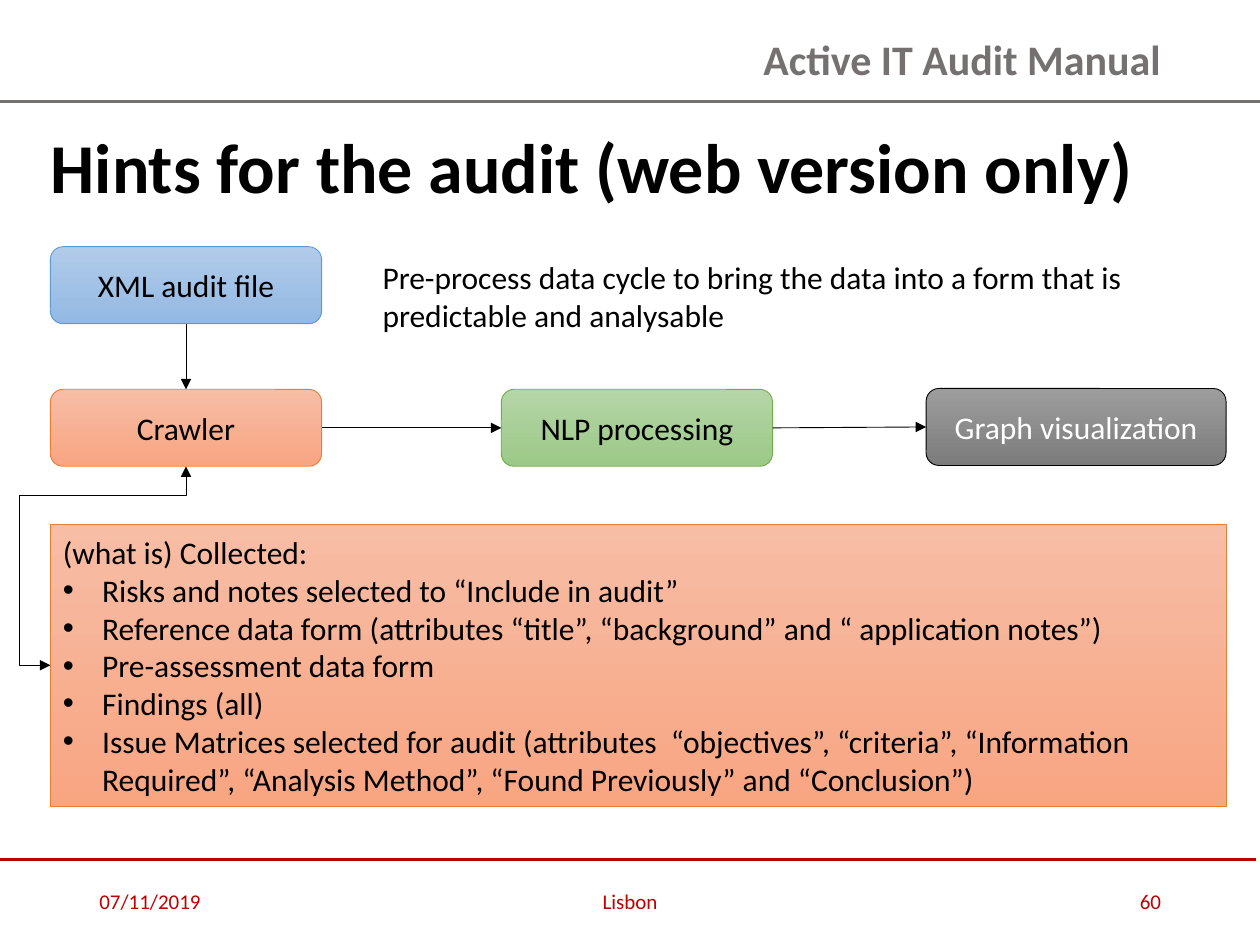
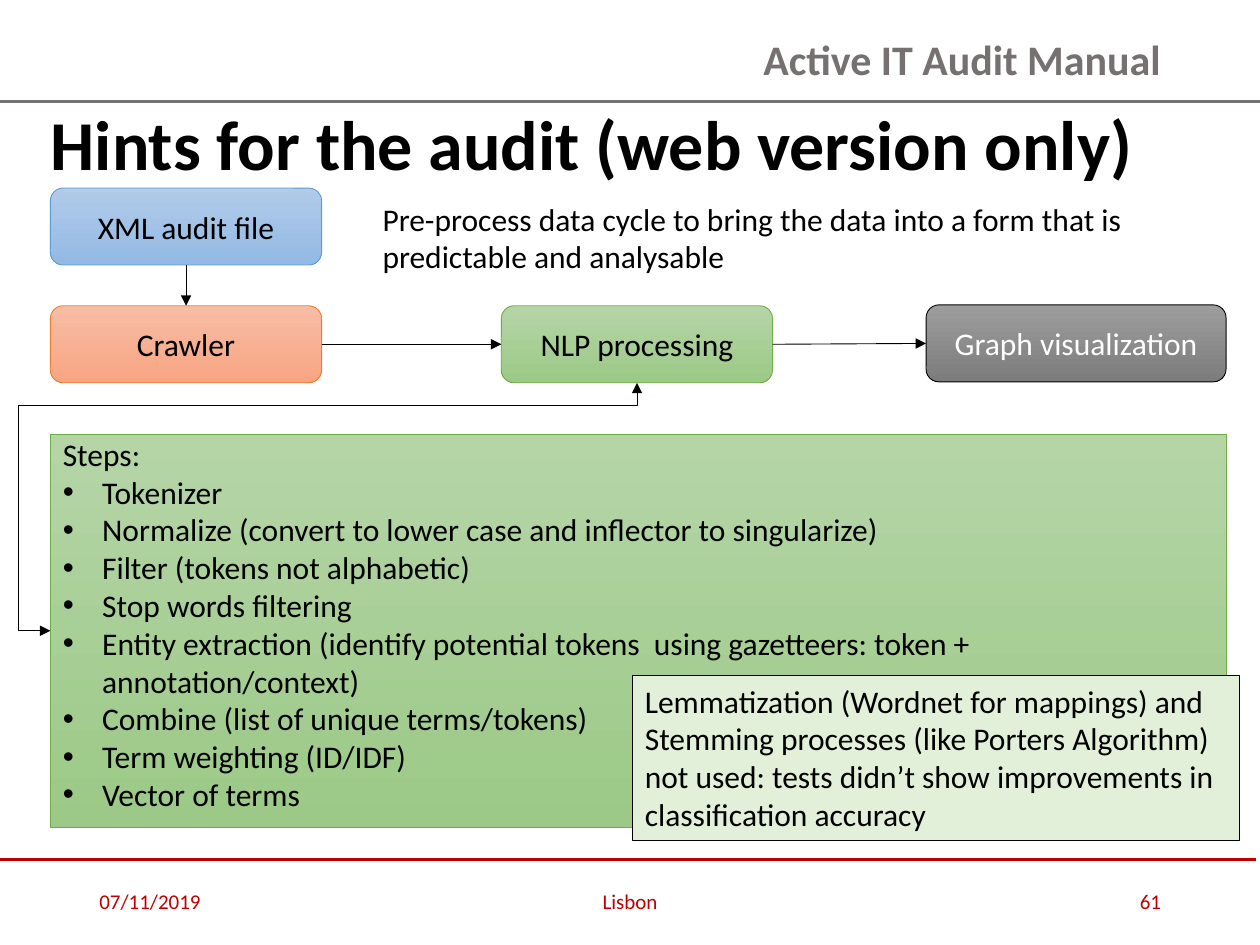
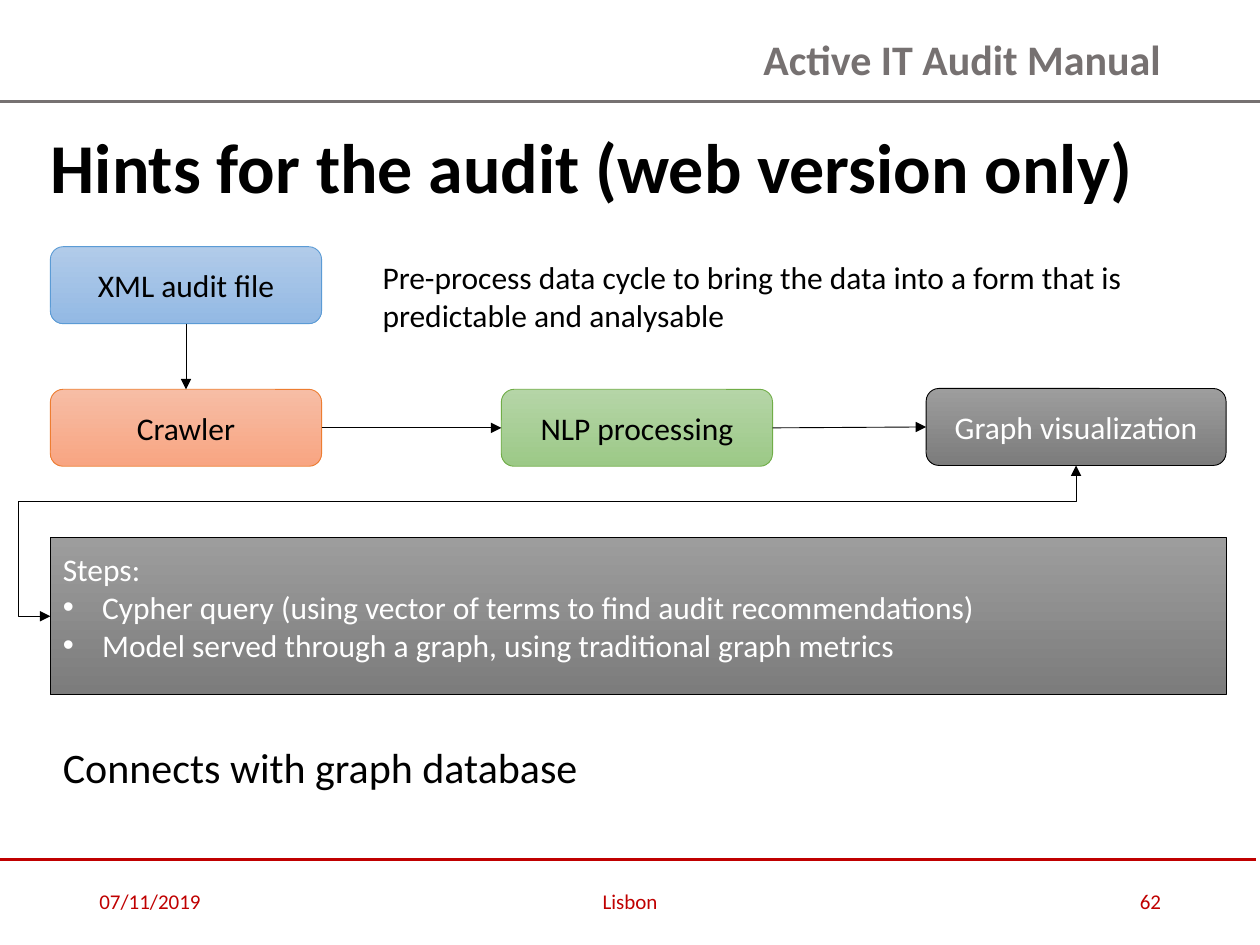
from lxml import etree
from pptx import Presentation
from pptx.dml.color import RGBColor
from pptx.enum import shapes, text
from pptx.oxml import ns
from pptx.util import Pt

rgb = RGBColor.from_string
GREY, RED, BLACK, WHITE = "767171", "C00000", "000000", "FFFFFF"
LEFT, CENTER, RIGHT = text.PP_ALIGN.LEFT, text.PP_ALIGN.CENTER, text.PP_ALIGN.RIGHT
TOP, MIDDLE = text.MSO_ANCHOR.TOP, text.MSO_ANCHOR.MIDDLE
STRAIGHT, ELBOW = shapes.MSO_CONNECTOR.STRAIGHT, shapes.MSO_CONNECTOR.ELBOW
SITE_TOP, SITE_LEFT, SITE_BOTTOM, SITE_RIGHT = range(4)
MARGIN, PANEL_WIDTH, BOX_HEIGHT, GUTTER = 28.8, 671.8, 44, 11

THEMES = {
    "blue": ("B1CBE9", "93B9E4", "5B9BD5", BLACK),
    "orange": ("F7BDA5", "F8A582", "ED7D31", BLACK),
    "green": ("B5D5A7", "9CC987", "70AD47", BLACK),
    "grey": ("9D9D9D", "7C7C7C", BLACK, WHITE),
}

FOOTERS = [(49.7, 162, LEFT), (238.5, 243, CENTER), (508.5, 162, RIGHT)]

PAGES = [
    dict(number="60", title_top=67, file_top=141, flow_top=222.5, source=1, theme="orange",
         panel_top=299.5, panel_height=161.3, list_top=301, turn=283,
         lines=["(what is) Collected:",
                "Risks and notes selected to “Include in audit”",
                "Reference data form (attributes “title”, “background” and “ application notes”)",
                "Pre-assessment data form",
                "Findings (all)",
                "Issue Matrices selected for audit (attributes  “objectives”, “criteria”, "
                "“Information Required”, “Analysis Method”, “Found Previously” and “Conclusion”)"]),
    dict(number="61", title_top=54, file_top=107.5, flow_top=174.75, source=2, theme="green",
         panel_top=248.2, panel_height=224.5, list_top=245, turn=231.8,
         lines=["Steps:",
                "Tokenizer",
                "Normalize (convert to lower case and inflector to singularize)",
                "Filter (tokens not alphabetic)",
                "Stop words filtering",
                "Entity extraction (identify potential tokens  using gazetteers: "
                "token + annotation/context)",
                "Combine (list of unique terms/tokens)",
                "Term weighting (ID/IDF)",
                "Vector of terms"]),
    dict(number="62", title_top=67, file_top=141, flow_top=222.5, source=3, theme="grey",
         panel_top=307.3, panel_height=89.7, list_top=311, turn=286.6,
         lines=["Steps:",
                "Cypher query (using vector of terms to find audit recommendations)",
                "Model served through a graph, using traditional graph metrics"]),
]


def write(box, lines, size=18, color=BLACK, align=LEFT, anchor=TOP, bold=False):
    frame = box.text_frame
    frame.word_wrap = True
    frame.vertical_anchor = anchor
    frame.text = "\n".join(lines)
    for index, para in enumerate(frame.paragraphs):
        para.alignment = align
        para.font.name = "Calibri"
        para.font.size = Pt(size)
        para.font.bold = bold
        para.font.color.rgb = rgb(color)
        if index:
            props = para._p.get_or_add_pPr()
            props.set("marL", str(Pt(22.5)))
            props.set("indent", str(Pt(-22.5)))
            bullet_font = etree.Element(ns.qn("a:buFont"), typeface="Arial")
            bullet = etree.Element(ns.qn("a:buChar"), char="•")
            props.find(ns.qn("a:defRPr")).addprevious(bullet_font)
            bullet_font.addnext(bullet)


def draw_line(page, kind, x1, y1, x2, y2, color=BLACK, width=0.5, arrows=()):
    line = page.shapes.add_connector(kind, Pt(x1), Pt(y1), Pt(x2), Pt(y2))
    line.line.color.rgb = rgb(color)
    line.line.width = Pt(width)
    for end in arrows:
        etree.SubElement(line.line._get_or_add_ln(), ns.qn("a:" + end), type="triangle")
    etree.SubElement(line._element.spPr, ns.qn("a:effectLst"))
    return line


deck = Presentation()
deck.slide_width, deck.slide_height = Pt(720), Pt(540)

for info in PAGES:
    page = deck.slides.add_slide(deck.slide_layouts[6])

    header = page.shapes.add_textbox(Pt(303), Pt(12.2), Pt(367.5), Pt(46))
    write(header, ["Active IT Audit Manual"], 24, GREY, RIGHT, MIDDLE, True)
    header.text_frame.paragraphs[0].line_spacing = 0.9
    draw_line(page, STRAIGHT, 0, 58, 720, 58, GREY, 1.5)
    draw_line(page, STRAIGHT, -2, 491, 718, 491, RED, 1.5)
    for label, (left, width, align) in zip(("07/11/2019", "Lisbon", info["number"]), FOOTERS):
        footer = page.shapes.add_textbox(Pt(left), Pt(500.5), Pt(width), Pt(28.8))
        write(footer, [label], 12, RED, align, MIDDLE)

    title = page.shapes.add_textbox(Pt(22), Pt(info["title_top"]), Pt(645), Pt(55.7))
    write(title, ["Hints for the audit (web version only)"], 40, bold=True)

    file_top, flow_top = info["file_top"], info["flow_top"]
    stages = []
    for label, theme, left, top, width in [
        ("XML audit file", "blue", MARGIN, file_top, 155),
        ("Crawler", "orange", MARGIN, flow_top, 155),
        ("NLP processing", "green", 286.5, flow_top, 155),
        ("Graph visualization", "grey", 529.2, flow_top - 0.5, 171.4),
        (None, info["theme"], MARGIN, info["panel_top"], PANEL_WIDTH),
    ]:
        kind = shapes.MSO_SHAPE.ROUNDED_RECTANGLE if label else shapes.MSO_SHAPE.RECTANGLE
        height = BOX_HEIGHT if label else info["panel_height"]
        box = page.shapes.add_shape(kind, Pt(left), Pt(top), Pt(width), Pt(height))
        box.shadow.inherit = False
        start, end, outline, ink = THEMES[theme]
        box.fill.gradient()
        box.fill.gradient_angle = 270
        for stop, color in zip(box.fill.gradient_stops, (start, end)):
            stop.color.rgb = rgb(color)
        box.line.color.rgb = rgb(outline)
        box.line.width = Pt(0.5)
        if label:
            write(box, [label], 18, ink, CENTER, MIDDLE)
        stages.append(box)

    for index, (leave, arrive) in enumerate(
        [(SITE_BOTTOM, SITE_TOP), (SITE_RIGHT, SITE_LEFT), (SITE_RIGHT, SITE_LEFT)]
    ):
        arrow = draw_line(page, STRAIGHT, 0, 0, 0, 0, arrows=["tailEnd"])
        arrow.begin_connect(stages[index], leave)
        arrow.end_connect(stages[index + 1], arrive)

    summary = page.shapes.add_textbox(Pt(211.5), Pt(file_top + 3), Pt(489), Pt(51))
    write(summary, ["Pre-process data cycle to bring the data into a form that is "
                    "predictable and analysable"])

    source = stages[info["source"]]
    start_x = source.left.pt + source.width.pt / 2
    start_y = source.top.pt + BOX_HEIGHT
    drop = info["panel_top"] + info["panel_height"] / 2 - start_y
    reach = start_x - MARGIN
    left = MARGIN + (reach - drop) / 2
    top = start_y + (drop - reach) / 2
    elbow = draw_line(page, ELBOW, left, top, left + drop, top + reach,
                      arrows=["headEnd", "tailEnd"])
    elbow._element.spPr.find(ns.qn("a:xfrm")).set("rot", "5400000")
    geometry = elbow._element.spPr.find(ns.qn("a:prstGeom"))
    geometry.set("prst", "bentConnector4")
    guides = geometry.find(ns.qn("a:avLst"))
    if guides is None:
        guides = etree.SubElement(geometry, ns.qn("a:avLst"))
    bends = {"adj1": (info["turn"] - start_y) / drop, "adj2": (reach + 18) / reach}
    for name, ratio in bends.items():
        etree.SubElement(guides, ns.qn("a:gd"), name=name, fmla=f"val {round(ratio * 100000)}")

    details = page.shapes.add_textbox(Pt(MARGIN), Pt(info["list_top"]), Pt(PANEL_WIDTH),
                                      Pt(info["panel_height"]))
    write(details, info["lines"], color=THEMES[info["theme"]][3])

    if info["number"] == "61":
        remark = page.shapes.add_shape(shapes.MSO_SHAPE.RECTANGLE,
                                       Pt(361.4), Pt(386), Pt(347), Pt(94.5))
        remark.shadow.inherit = False
        remark.fill.solid()
        remark.fill.fore_color.rgb = rgb("E2F0D9")
        remark.line.color.rgb = rgb(BLACK)
        remark.line.width = Pt(0.75)
        write(remark, ["Lemmatization (Wordnet for mappings) and Stemming processes (like Porters "
                       "Algorithm) not used: tests didn’t show improvements in classification accuracy"])
    if info["number"] == "62":
        database = page.shapes.add_textbox(Pt(MARGIN), Pt(420), Pt(312), Pt(36))
        write(database, ["Connects with graph database"], 24)

deck.save("out.pptx")
